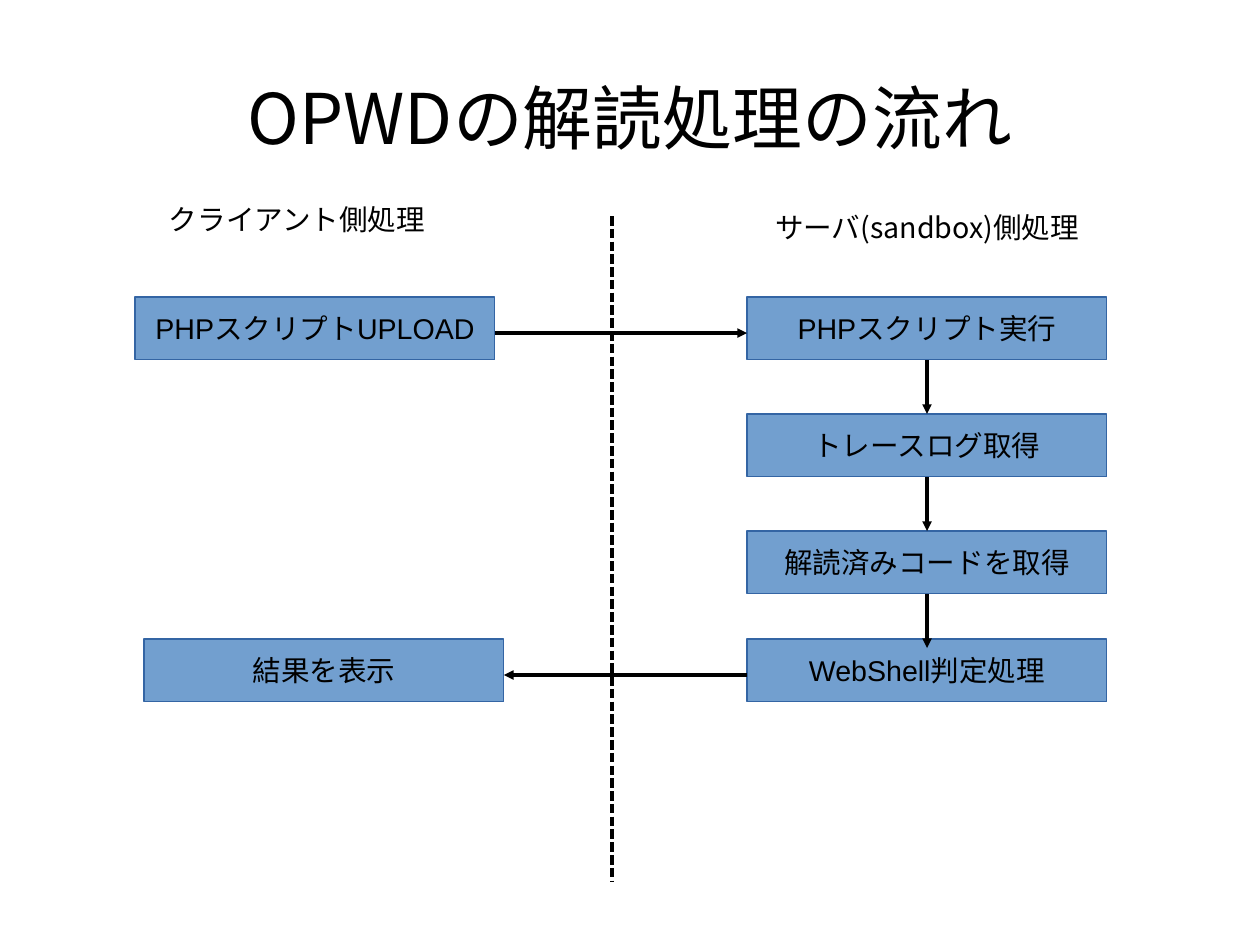
from lxml import etree
from pptx import Presentation
from pptx.dml.color import RGBColor
from pptx.enum import dml, shapes, text
from pptx.oxml import ns
from pptx.util import Cm, Pt

COLORS = {"ink": "000000", "box": "729FCF", "edge": "3465A4"}
LATIN, CJK = "Arial", "Noto Sans CJK JP"

BOX_W, BOX_H = 8, 1.4
CLIENT_X, RESULT_X, SERVER_X = 3, 3.2, 16.6
SERVER_STEPS = [
    (6.6, "PHPスクリプト実行"),
    (9.2, "トレースログ取得"),
    (11.8, "解読済みコードを取得"),
    (14.2, "WebShell判定処理"),
]
ARROW_LEN = 1.2


def rgb(name):
    return RGBColor.from_string(COLORS[name])


def write(s, content, size, font, anchor, wrap=True, inset=(0.25, 0.13)):
    tf = s.text_frame
    tf.word_wrap = wrap
    tf.auto_size = text.MSO_AUTO_SIZE.NONE
    tf.vertical_anchor = anchor
    tf.margin_left = tf.margin_right = Cm(inset[0])
    tf.margin_top = tf.margin_bottom = Cm(inset[1])
    p = tf.paragraphs[0]
    p.alignment = text.PP_ALIGN.CENTER
    r = p.add_run()
    r.text = content
    r.font.size = Pt(size)
    r.font.color.rgb = rgb("ink")
    r.font.name = font
    # East Asian typeface
    etree.SubElement(r._r.get_or_add_rPr(), ns.qn("a:ea"), typeface=CJK)


def add_title(slide, content):
    s = slide.shapes.title
    s.left, s.top, s.width, s.height = Cm(1.4), Cm(0.84), Cm(25.2), Cm(3.5)
    write(s, content, 44, CJK, text.MSO_ANCHOR.MIDDLE, inset=(0, 0))


def add_heading(slide, x, y, content):
    s = slide.shapes.add_textbox(Cm(x), Cm(y), Cm(8.8), Cm(1.17))
    write(s, content, 18, CJK, text.MSO_ANCHOR.TOP)


def add_box(slide, x, y, content):
    s = slide.shapes.add_shape(shapes.MSO_SHAPE.RECTANGLE,
                               Cm(x), Cm(y), Cm(BOX_W), Cm(BOX_H))
    s.shadow.inherit = False
    s.fill.solid()
    s.fill.fore_color.rgb = rgb("box")
    s.line.color.rgb = rgb("edge")
    s.line.width = Pt(0)
    write(s, content, 18, LATIN, text.MSO_ANCHOR.MIDDLE, wrap=False)


def add_line(slide, x1, y1, x2, y2):
    s = slide.shapes.add_connector(shapes.MSO_CONNECTOR.STRAIGHT,
                                   Cm(x1), Cm(y1), Cm(x2), Cm(y2))
    s.line.color.rgb = rgb("ink")
    s.line.width = Pt(0)
    etree.SubElement(s._element.spPr, ns.qn("a:effectLst"))
    return s


def add_arrow(slide, x1, y1, x2, y2):
    s = add_line(slide, x1, y1, x2, y2)
    etree.SubElement(s.line._get_or_add_ln(), ns.qn("a:tailEnd"), type="triangle")


def main():
    prs = Presentation()
    prs.slide_width, prs.slide_height = Cm(28), Cm(21)
    slide = prs.slides.add_slide(prs.slide_layouts[5])

    # Title, divider and column headings
    add_title(slide, "OPWDの解読処理の流れ")
    divider = add_line(slide, 13.6, 4.8, 13.6, 19.6)
    divider.line.dash_style = dml.MSO_LINE.SQUARE_DOT
    add_heading(slide, 2.2, 4.35, "クライアント側処理")
    add_heading(slide, 16.2, 4.53, "サーバ(sandbox)側処理")

    # Steps on both sides
    first_y, last_y = SERVER_STEPS[0][0], SERVER_STEPS[-1][0]
    add_box(slide, CLIENT_X, first_y, "PHPスクリプトUPLOAD")
    for y, label in SERVER_STEPS:
        add_box(slide, SERVER_X, y, label)
    add_box(slide, RESULT_X, last_y, "結果を表示")

    # Arrows down the server column
    center_x = SERVER_X + BOX_W / 2
    for y, _ in SERVER_STEPS[:-1]:
        bottom = y + BOX_H
        add_arrow(slide, center_x, bottom, center_x, bottom + ARROW_LEN)

    # Arrows across the divider
    upload_y, result_y = first_y + 0.8, last_y + 0.8
    add_arrow(slide, CLIENT_X + BOX_W, upload_y, SERVER_X, upload_y)
    add_arrow(slide, SERVER_X, result_y, RESULT_X + BOX_W, result_y)

    prs.save("out.pptx")


if __name__ == "__main__":
    main()
